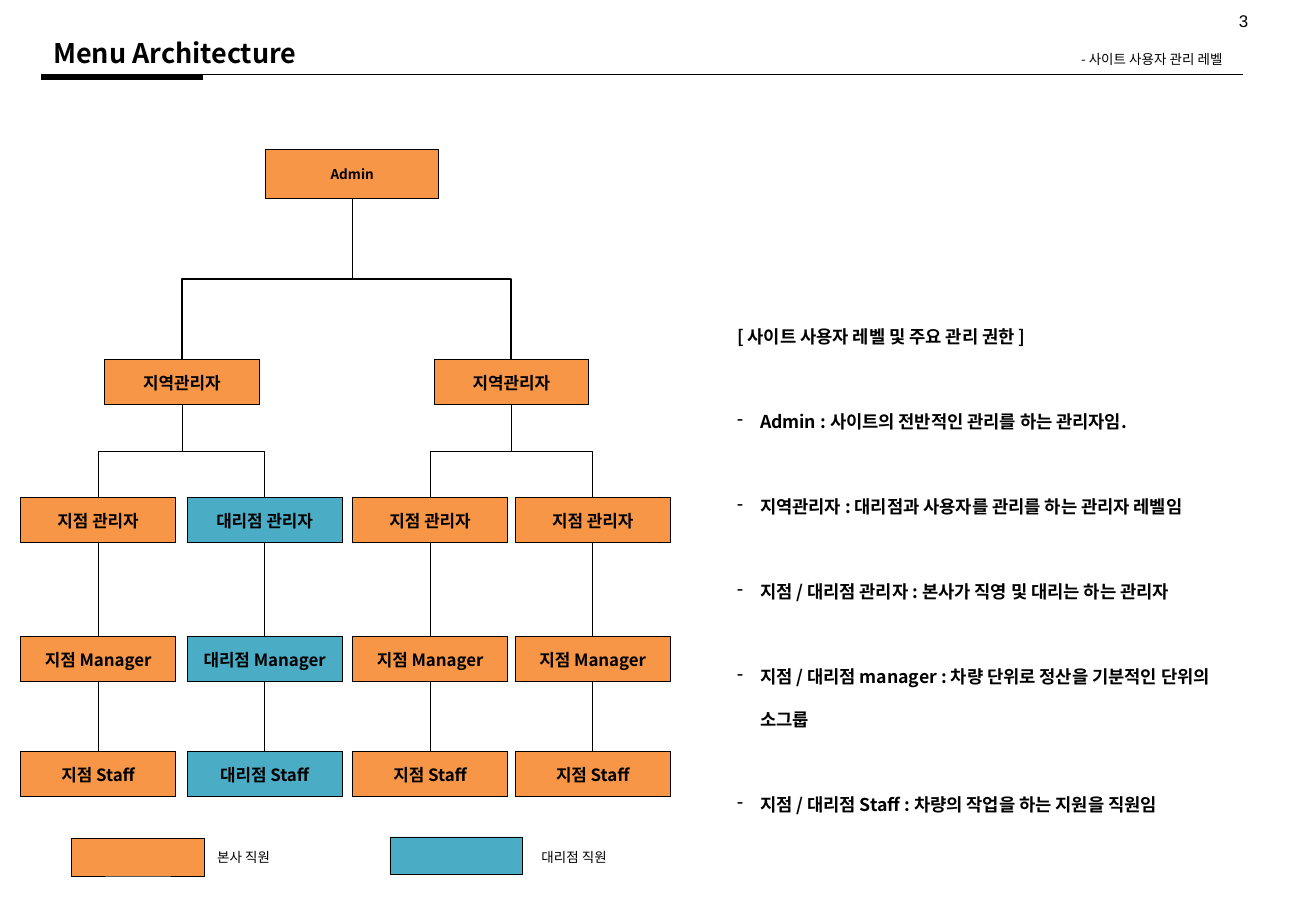
"""Build the menu architecture slide: a tree of site user levels with their rights."""
from lxml.etree import SubElement
from pptx import Presentation
from pptx.dml.color import RGBColor
from pptx.enum.shapes import MSO_CONNECTOR, MSO_SHAPE
from pptx.enum.text import MSO_ANCHOR, MSO_AUTO_SIZE, PP_ALIGN
from pptx.oxml.ns import qn
from pptx.util import Cm, Pt

BLACK = RGBColor(0x00, 0x00, 0x00)
ORANGE = RGBColor(0xF7, 0x96, 0x46)
TEAL = RGBColor(0x4B, 0xAC, 0xC6)
FONT = "Noto Sans CJK KR"
LEVEL_WIDTH, LEVEL_HEIGHT = 3.24, 0.94

deck = Presentation()
deck.slide_width, deck.slide_height = Cm(27.51), Cm(19.05)
slide = deck.slides.add_slide(deck.slide_layouts[5])
shapes = slide.shapes


def add_level(label, left, top, color):
    frame = shapes.add_table(1, 1, Cm(left), Cm(top), Cm(LEVEL_WIDTH), Cm(LEVEL_HEIGHT))
    frame.table.first_row = frame.table.horz_banding = False
    cell = frame.table.cell(0, 0)
    cell.text = label
    cell.vertical_anchor = MSO_ANCHOR.MIDDLE
    cell.margin_left = cell.margin_right = Cm(0.1)
    paragraph = cell.text_frame.paragraphs[0]
    paragraph.alignment = PP_ALIGN.CENTER
    paragraph.font.name, paragraph.font.size = FONT, Pt(10)
    paragraph.font.bold = True
    paragraph.font.color.rgb = BLACK
    properties = cell._tc.get_or_add_tcPr()
    for side in ("a:lnL", "a:lnR", "a:lnT", "a:lnB"):
        border = SubElement(properties, qn(side), w=str(Pt(0.5)))
        SubElement(SubElement(border, qn("a:solidFill")), qn("a:srgbClr"), val=str(BLACK))
    cell.fill.solid()
    cell.fill.fore_color.rgb = color


def add_link(x1, y1, x2, y2, weight):
    if x1 == x2 or y1 == y2:
        link = shapes.add_connector(MSO_CONNECTOR.STRAIGHT, Cm(x1), Cm(y1), Cm(x2), Cm(y2))
    else:
        middle_x, middle_y = (x1 + x2) / 2, (y1 + y2) / 2
        half_drop, half_run = (y2 - y1) / 2, abs(x2 - x1) / 2
        side = 1 if x2 > x1 else -1
        link = shapes.add_connector(
            MSO_CONNECTOR.ELBOW,
            Cm(middle_x + side * half_drop), Cm(middle_y - half_run),
            Cm(middle_x - side * half_drop), Cm(middle_y + half_run))
        turn = 270 if side > 0 else 90
        link.element.spPr.find(qn("a:xfrm")).set("rot", str(turn * 60000))
    link.line.color.rgb = BLACK
    link.line.width = Pt(weight)
    SubElement(link.element.spPr, qn("a:effectLst"))


title = shapes.title
title.left, title.top, title.width, title.height = Cm(0.86), Cm(0.64), Cm(11.86), Cm(0.94)
title.text_frame.text = "Menu Architecture"
title.text_frame.auto_size = MSO_AUTO_SIZE.NONE
title.text_frame.vertical_anchor = MSO_ANCHOR.MIDDLE
heading = title.text_frame.paragraphs[0]
heading.alignment = PP_ALIGN.LEFT
heading.font.name, heading.font.size, heading.font.bold = FONT, Pt(16), True
heading.font.color.rgb = BLACK

add_link(0.86, 1.56, 25.98, 1.56, 1)
add_link(0.86, 1.63, 4.24, 1.63, 3)

captions = [
    ("3", 25.65, 0.1, 0.97, 0.69, "Arial", 10),
    ("- 사이트 사용자 관리 레벨", 22.35, 0.94, 4, 0.6, FONT, 8),
    ("본사 직원", 4.29, 17.63, 2.1, 0.6, FONT, 8),
    ("대리점 직원", 11.07, 17.63, 2.13, 0.6, FONT, 8),
]
for words, left, top, width, height, font_name, size in captions:
    caption = shapes.add_textbox(Cm(left), Cm(top), Cm(width), Cm(height)).text_frame
    caption.word_wrap = True
    caption.vertical_anchor = MSO_ANCHOR.MIDDLE
    caption.text = words
    line = caption.paragraphs[0]
    line.font.name, line.font.size = font_name, Pt(size)
    line.font.color.rgb = BLACK

rectangles = [
    ("Admin", 5.56, 3.12, 3.61, 1.04, ORANGE, 0.5),
    ("", 1.5, 17.53, 2.77, 0.79, ORANGE, 0.25),
    ("", 8.15, 17.5, 2.77, 0.79, TEAL, 0.25),
]
for label, left, top, width, height, color, weight in rectangles:
    box = shapes.add_shape(MSO_SHAPE.RECTANGLE, Cm(left), Cm(top), Cm(width), Cm(height))
    box.shadow.inherit = False
    box.fill.solid()
    box.fill.fore_color.rgb = color
    box.line.color.rgb = BLACK
    box.line.width = Pt(weight)
    if label:
        box.text_frame.text = label
        box.text_frame.vertical_anchor = MSO_ANCHOR.MIDDLE
        admin = box.text_frame.paragraphs[0]
        admin.alignment = PP_ALIGN.CENTER
        admin.font.name, admin.font.size, admin.font.bold = FONT, Pt(8), True
        admin.font.color.rgb = BLACK

ADMIN_CENTER, ADMIN_BOTTOM = 7.37, 4.16
REGION_TOP = 7.52
ROLE_TOPS = {"관리자": 10.41, "Manager": 13.31, "Staff": 15.72}
regions = [
    (2.18, [("지점", 0.43, ORANGE), ("대리점", 3.91, TEAL)]),
    (9.07, [("지점", 7.37, ORANGE), ("지점", 10.77, ORANGE)]),
]
for region_left, branches in regions:
    region_center = region_left + LEVEL_WIDTH / 2
    add_level("지역관리자", region_left, REGION_TOP, ORANGE)
    add_link(ADMIN_CENTER, ADMIN_BOTTOM, region_center, REGION_TOP, 1)
    for branch, left, color in branches:
        center = left + LEVEL_WIDTH / 2
        above_center, above_top = region_center, REGION_TOP
        for role, top in ROLE_TOPS.items():
            add_level(f"{branch} {role}", left, top, color)
            add_link(above_center, above_top + LEVEL_HEIGHT, center, top, 0.25)
            above_center, above_top = center, top

rights = [
    "[ 사이트 사용자 레벨 및 주요 관리 권한 ]",
    "Admin : 사이트의 전반적인 관리를 하는 관리자임.",
    "지역관리자 : 대리점과 사용자를 관리를 하는 관리자 레벨임",
    "지점 / 대리점 관리자 : 본사가 직영 및 대리는 하는 관리자",
    "지점 / 대리점 manager : 차량 단위로 정산을 기분적인 단위의 소그룹",
    "지점 / 대리점 Staff : 차량의 작업을 하는 지원을 직원임",
]
rights_frame = shapes.add_textbox(Cm(15.16), Cm(6.25), Cm(11.4), Cm(10.13)).text_frame
rights_frame.word_wrap = True
rights_frame.text = "\n".join(rights)
for index, right in enumerate(rights_frame.paragraphs):
    right.font.name, right.font.size, right.font.bold = FONT, Pt(10.5), True
    right.font.color.rgb = BLACK
    right.line_spacing = Pt(25.2)
    if index:
        right.space_before = Pt(25.2)
        properties = right._p.get_or_add_pPr()
        properties.set("marL", str(Cm(0.48)))
        properties.set("indent", str(-Cm(0.48)))
        bullet = properties.makeelement(qn("a:buChar"), {"char": "-"})
        properties.find(qn("a:defRPr")).addprevious(bullet)

for latin in list(slide.element.iter(qn("a:latin"))):
    latin.addnext(latin.makeelement(qn("a:ea"), {"typeface": latin.get("typeface")}))

deck.save("out.pptx")
